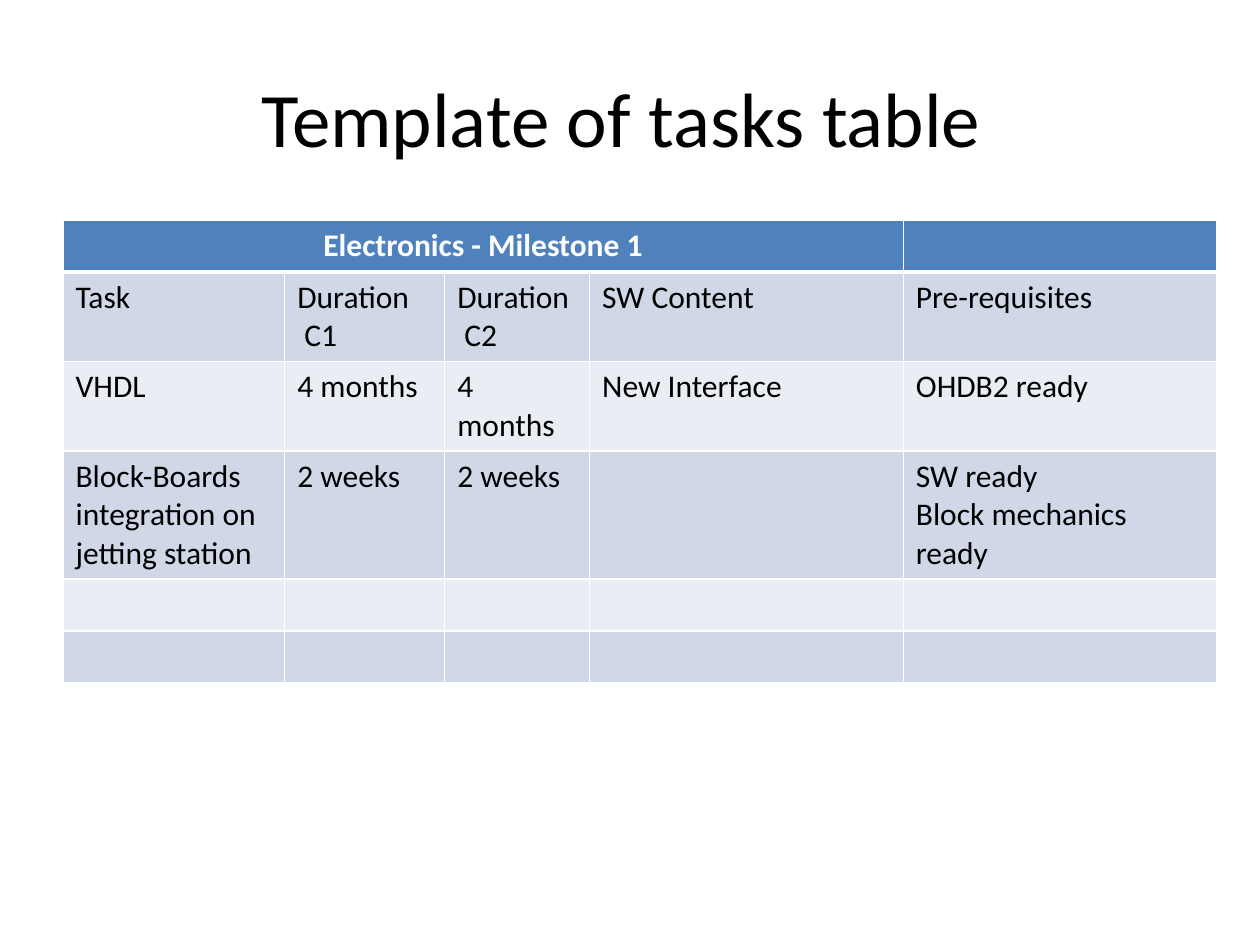
import pptx
import pptx.util
import pptx.dml.color
import pptx.enum.text
import pptx.oxml
import pptx.oxml.ns

Inches, Pt = pptx.util.Inches, pptx.util.Pt
ALIGN = pptx.enum.text.PP_ALIGN
ANCHOR = pptx.enum.text.MSO_ANCHOR


def color(value):
    return pptx.dml.color.RGBColor.from_string(value)


class Deck:
    font = "Calibri"
    black, white = "000000", "FFFFFF"
    head, bands = "4F81BD", ("D0D8E8", "E9EDF4")

    def __init__(self, wide, high):
        self.prs = pptx.Presentation()
        self.prs.slide_width, self.prs.slide_height = Inches(wide), Inches(high)
        self.slide = self.prs.slides.add_slide(self.prs.slide_layouts[5])

    def style(self, frame, size, tint, align, bold=False):
        for para in frame.paragraphs:
            para.alignment = align
            font = para.font
            font.name, font.size, font.bold = self.font, Pt(size), bold
            font.color.rgb = color(tint)

    def title(self, text, left, top, width, height):
        shape = self.slide.shapes.title
        shape.left, shape.top = Inches(left), Inches(top)
        shape.width, shape.height = Inches(width), Inches(height)
        frame = shape.text_frame
        frame.text = text
        frame.vertical_anchor = ANCHOR.MIDDLE
        self.style(frame, 44, self.black, ALIGN.CENTER)

    def border(self, cell, **sides):
        # Border lines come before the fill in the cell properties
        props = cell._tc.get_or_add_tcPr()
        for spot, (side, width) in enumerate(sides.items()):
            props.insert(spot, pptx.oxml.parse_xml(
                f'<a:ln{side} {pptx.oxml.ns.nsdecls("a")} w="{Pt(width)}">'
                f'<a:solidFill><a:srgbClr val="{self.white}"/></a:solidFill>'
                f'</a:ln{side}>'))

    def table(self, rows, left, top, widths, height):
        grid = self.slide.shapes.add_table(
            len(rows), len(widths), Inches(left), Inches(top),
            Inches(sum(widths)), Inches(height * len(rows))).table
        for col, width in zip(grid.columns, widths):
            col.width = Inches(width)
        for r, row in enumerate(rows):
            grid.rows[r].height = Inches(height)
            for c, text in enumerate(row):
                self.cell(grid.cell(r, c), text, r)
        return grid

    def cell(self, cell, text, row):
        top = row == 0
        cell.text = text
        cell.fill.solid()
        cell.fill.fore_color.rgb = color(
            self.head if top else self.bands[(row - 1) % 2])
        self.style(cell.text_frame, 18, self.white if top else self.black,
                   ALIGN.CENTER if top else ALIGN.LEFT, top)
        self.border(cell, L=1, R=1, T=3 if row == 1 else 1, B=3 if top else 1)


def main():
    deck = Deck(10, 7.5)
    deck.title("Template of tasks table ", 0.5, 0.3, 9, 1.25)

    # Task table: heading, column names, tasks, then two free rows
    blank = [""] * 5
    rows = [
        ["Electronics - Milestone 1"] + blank[1:],
        ["Task", "Duration\n C1", "Duration\n C2", "SW Content",
         "Pre-requisites"],
        ["VHDL", "4 months", "4 months", "New Interface", "OHDB2 ready"],
        ["Block-Boards integration on jetting station", "2 weeks", "2 weeks",
         "", "SW ready\nBlock mechanics ready"],
        blank,
        blank,
    ]
    grid = deck.table(rows, 0.5, 1.75, [1.76, 1.27, 1.15, 2.49, 2.49], 0.41)
    grid.cell(0, 0).merge(grid.cell(0, 3))

    deck.prs.save("out.pptx")


if __name__ == "__main__":
    main()
